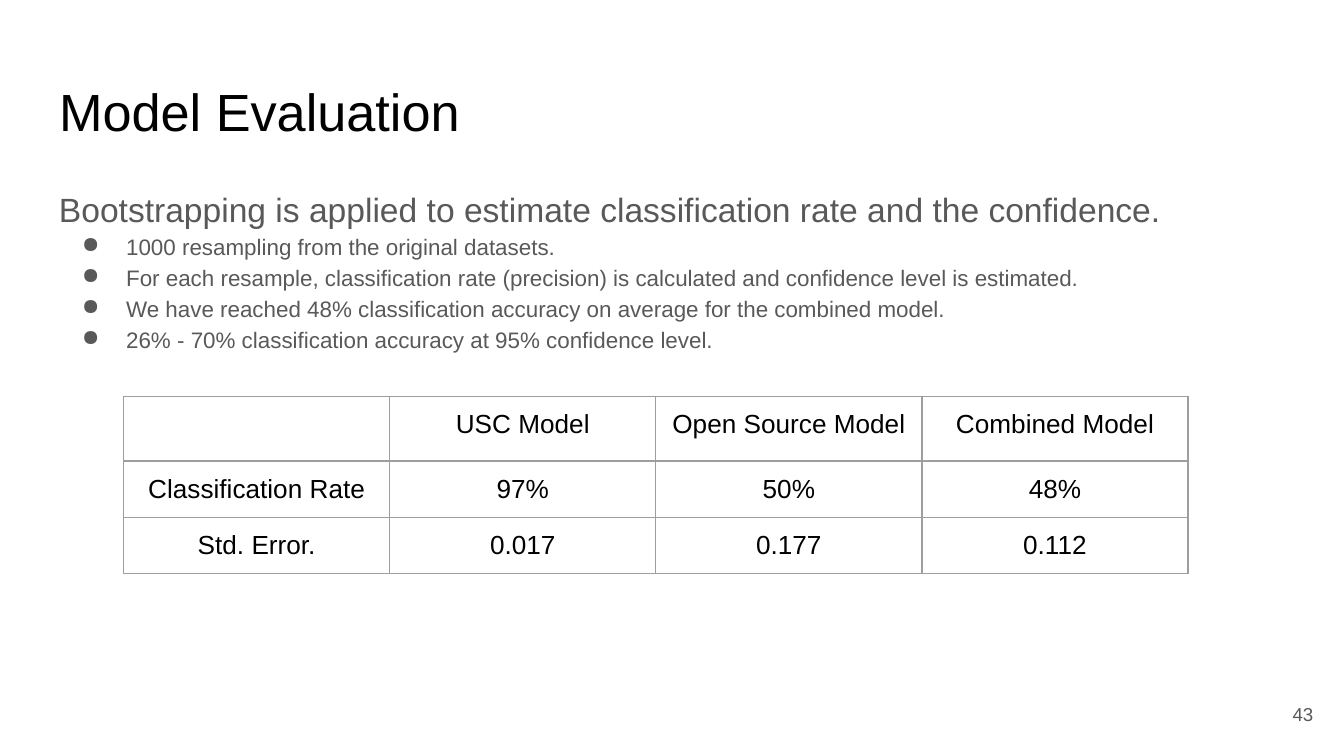
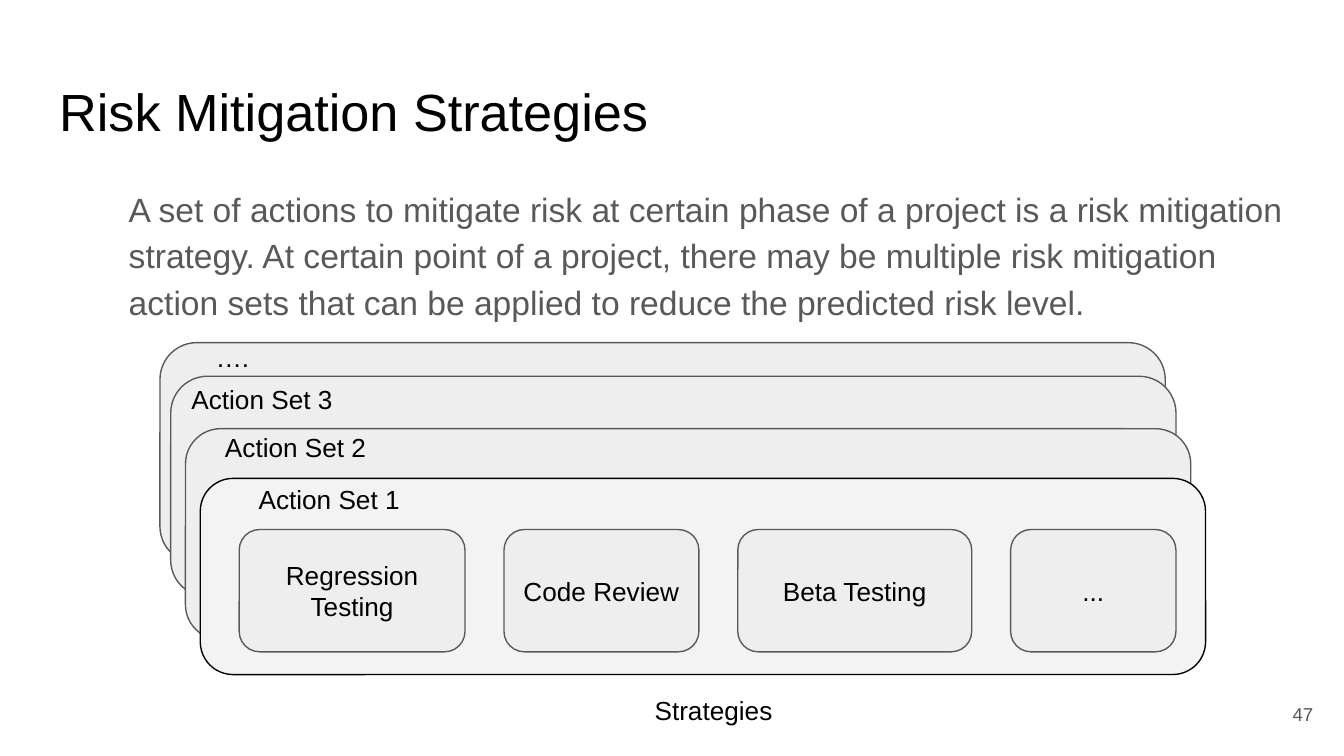
"""Build two slides on model evaluation and risk mitigation."""
import pptx
import pptx.dml.color
import pptx.enum.shapes
import pptx.enum.text
import pptx.oxml.ns
import pptx.util
from lxml import etree

ALIGN = pptx.enum.text.PP_ALIGN
ANCHOR = pptx.enum.text.MSO_ANCHOR
RGB = pptx.dml.color.RGBColor.from_string
qn = pptx.oxml.ns.qn

THEME = {
    "font": "Arial",
    "ink": "000000", "gray": "595959", "rule": "9E9E9E",
    "card": "EEEEEE", "front": "F3F3F3",
    "title": 28, "lead": 18, "label": 14, "bullet": 12, "number": 10,
    "line": 0.75, "corner": 0.167, "spacing": 1.15,
}
COLUMNS = 100
INSET = 1


def assign(obj, **values):
    for name, value in values.items():
        setattr(obj, name, value)


class Deck:
    def __init__(self, theme):
        self.theme = theme
        self.prs = pptx.Presentation()
        assign(self.prs, slide_width=pptx.util.Inches(10), slide_height=pptx.util.Inches(5.625))
        self.unit = self.prs.slide_width / COLUMNS
        self.s = None

    def grid(self, *cells):
        return [round(c * self.unit) for c in cells]

    def fill_text(self, p, text, size, color, **fmt):
        assign(p, **fmt)
        r = p.add_run()
        r.text = text
        assign(r.font, name=self.theme["font"], size=pptx.util.Pt(self.theme[size]))
        r.font.color.rgb = RGB(self.theme[color])
        etree.SubElement(p._p, qn("a:endParaRPr"), sz=str(self.theme[size] * 100))

    def frame(self, tf, anchor=ANCHOR.TOP):
        inset, = self.grid(INSET)
        assign(tf, word_wrap=True, auto_size=pptx.enum.text.MSO_AUTO_SIZE.NONE,
               vertical_anchor=anchor, margin_left=inset, margin_right=inset,
               margin_top=inset, margin_bottom=inset)
        return tf

    def slide(self, title, number):
        self.s = self.prs.slides.add_slide(self.prs.slide_layouts[5])
        sp = self.s.shapes.title
        left, top, width, height = self.grid(3.4, 4.9, 93.2, 6.3)
        assign(sp, left=left, top=top, width=width, height=height)
        self.fill_text(self.frame(sp.text_frame).paragraphs[0], title, "title", "ink",
                       alignment=ALIGN.LEFT)
        self.text(number, (92.7, 51, 6, 4.3), "number", "gray", ANCHOR.MIDDLE,
                  alignment=ALIGN.RIGHT)

    def text(self, text, box, size="label", color="ink", anchor=ANCHOR.TOP, **fmt):
        sp = self.s.shapes.add_textbox(*self.grid(*box))
        tf = self.frame(sp.text_frame, anchor)
        self.fill_text(tf.paragraphs[0], text, size, color, **fmt)
        return tf

    def lead(self, text, box):
        return self.text(text, box, "lead", "gray", line_spacing=self.theme["spacing"])

    def label(self, text, box):
        return self.text(text, box, alignment=ALIGN.CENTER)

    def bullets(self, tf, items):
        indent, hanging = self.grid(5, -3.3)
        for item in items:
            p = tf.add_paragraph()
            pPr = p._p.get_or_add_pPr()
            pPr.set("marL", str(indent))
            pPr.set("indent", str(hanging))
            clr = etree.SubElement(pPr, qn("a:buClr"))
            etree.SubElement(clr, qn("a:srgbClr"), val=self.theme["gray"])
            etree.SubElement(pPr, qn("a:buChar"), char="●")
            self.fill_text(p, item, "bullet", "gray", line_spacing=self.theme["spacing"])

    def card(self, box, text=None, fill="card", line="gray"):
        sp = self.s.shapes.add_shape(pptx.enum.shapes.MSO_SHAPE.ROUNDED_RECTANGLE,
                                     *self.grid(*box))
        sp.adjustments[0] = self.theme["corner"]
        sp.shadow.inherit = False
        sp.fill.solid()
        sp.fill.fore_color.rgb = RGB(self.theme[fill])
        sp.line.color.rgb = RGB(self.theme[line])
        sp.line.width = pptx.util.Pt(self.theme["line"])
        if text:
            tf = self.frame(sp.text_frame, ANCHOR.MIDDLE)
            self.fill_text(tf.paragraphs[0], text, "label", "ink", alignment=ALIGN.CENTER)

    def border(self, cell):
        tcPr = cell._tc.get_or_add_tcPr()
        for side in ("lnL", "lnR", "lnT", "lnB"):
            ln = etree.SubElement(tcPr, qn("a:" + side),
                                  w=str(pptx.util.Pt(self.theme["line"])))
            fill = etree.SubElement(ln, qn("a:solidFill"))
            etree.SubElement(fill, qn("a:srgbClr"), val=self.theme["rule"])

    def table(self, rows, left, top, col_width, row_height):
        n, m = len(rows), len(rows[0])
        box = self.grid(left, top, m * col_width, n * row_height)
        tbl = self.s.shapes.add_table(n, m, *box).table
        assign(tbl, first_row=False, horz_banding=False)
        inset, = self.grid(INSET)
        for i, row in enumerate(rows):
            for j, value in enumerate(row):
                cell = tbl.cell(i, j)
                assign(cell, margin_left=inset, margin_right=inset,
                       margin_top=inset, margin_bottom=inset)
                self.border(cell)
                cell.fill.background()
                self.fill_text(cell.text_frame.paragraphs[0], value, "label", "ink",
                               alignment=ALIGN.CENTER)


def evaluation(deck):
    deck.slide("Model Evaluation", "43")
    tf = deck.lead("Bootstrapping is applied to estimate classification rate and the confidence.",
                   (3.4, 12.6, 93.2, 37.4))
    deck.bullets(tf, [
        "1000 resampling from the original datasets.",
        "For each resample, classification rate (precision) is calculated and confidence level is estimated.",
        "We have reached 48% classification accuracy on average for the combined model.",
        "26% - 70% classification accuracy at 95% confidence level.",
    ])
    deck.table([
        ("", "USC Model", "Open Source Model", "Combined Model"),
        ("Classification Rate", "97%", "50%", "48%"),
        ("Std. Error.", "0.017", "0.177", "0.112"),
    ], 9.2, 29.5, 19.8, 4.2)


def strategies(deck):
    deck.slide("Risk Mitigation Strategies", "47")
    deck.lead("A set of actions to mitigate risk at certain phase of a project is a risk "
              "mitigation strategy. At certain point of a project, there may be multiple risk "
              "mitigation action sets that can be applied to reduce the predicted risk level.",
              (8.6, 12.6, 88, 10.8))
    back = {"fill": "card", "line": "gray"}
    front = {"fill": "front", "line": "ink"}
    action_sets = [
        ("….", (11.9, 25.5, 16.4), (9.4, 24.4), back),
        ("Action Set 3", (12.7, 28, 16.4), (11.6, 27.5), back),
        ("Action Set 2", (13.8, 31.9, 15.7), (14.1, 31.1), back),
        ("Action Set 1", (14.9, 35.6, 14.6), (16.6, 35), front),
    ]
    for name, (left, top, height), corner, style in action_sets:
        deck.card((left, top, 74.8, height), **style)
        deck.label(name, (*corner, 15.8, 3.6))
    left, gap = 17.8, 2.9
    for action, width in (("Regression Testing", 16.8), ("Code Review", 14.5),
                          ("Beta Testing", 17.4), ("...", 12.3)):
        deck.card((left, 39.4, width, 9.1), action)
        left += width + gap
    deck.label("Strategies", (41.6, 50.7, 23, 3.6))


def main():
    deck = Deck(THEME)
    evaluation(deck)
    strategies(deck)
    deck.prs.save("out.pptx")


if __name__ == "__main__":
    main()
